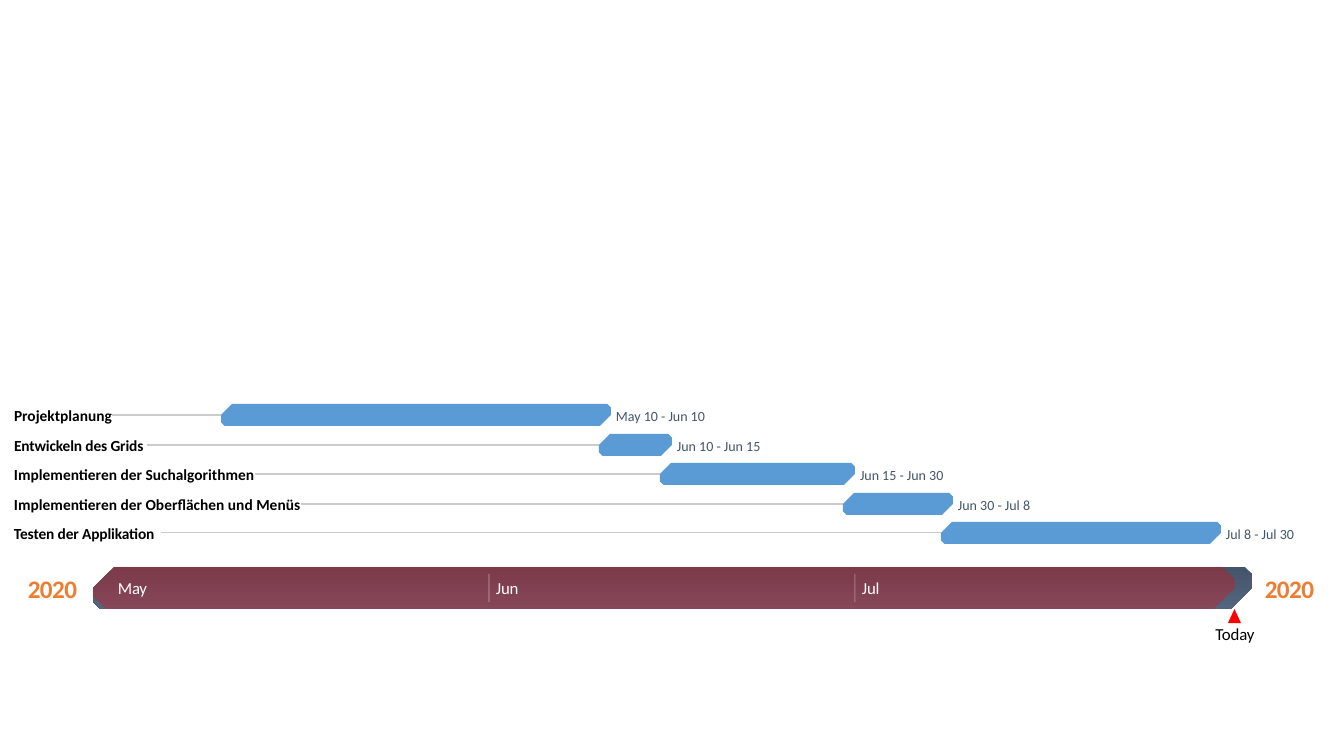
from pptx import Presentation
from pptx.dml.color import RGBColor
from pptx.enum.shapes import MSO_CONNECTOR, MSO_SHAPE
from pptx.enum.text import MSO_ANCHOR, PP_ALIGN
from pptx.oxml.ns import qn
from pptx.util import Emu, Pt
from lxml.etree import SubElement

SLATE = RGBColor(0x44, 0x54, 0x6A)
SLATE_LIGHT = RGBColor(0x52, 0x66, 0x7F)
ORANGE = RGBColor(0xED, 0x7D, 0x31)
BLUE = RGBColor(0x5B, 0x9B, 0xD5)
RED = RGBColor(0xFF, 0x00, 0x00)
GREY = RGBColor(0xCC, 0xCC, 0xCC)
WHITE = RGBColor(0xFF, 0xFF, 0xFF)
BLACK = RGBColor(0x00, 0x00, 0x00)


def px(n):
    return Emu(round(n * 914400 / 100.8))


class Gantt:
    font = "Calibri"

    def __init__(self, slide):
        self.s = slide

    def set_alpha(self, element, percent):
        color = next(element.iter(qn("a:srgbClr")))
        SubElement(color, qn("a:alpha")).set("val", str(percent * 1000))

    def text(self, x, y, w, h, text, size, color, bold=False, align=PP_ALIGN.LEFT, spacing=0):
        tf = self.s.shapes.add_textbox(px(x), px(y), px(w), px(h)).text_frame
        tf.margin_left = tf.margin_right = tf.margin_top = tf.margin_bottom = 0
        tf.vertical_anchor = MSO_ANCHOR.MIDDLE
        tf.word_wrap = True
        p = tf.paragraphs[0]
        p.alignment = align
        r = p.add_run()
        r.text = text
        p.font.name, p.font.size, p.font.bold = self.font, Pt(size), bold
        p.font.color.rgb = color
        if spacing:
            r._r.get_or_add_rPr().set("spc", str(round(spacing * 100)))

    def line(self, x1, y1, x2, y2, color, alpha=None):
        c = self.s.shapes.add_connector(MSO_CONNECTOR.STRAIGHT, px(x1), px(y1), px(x2), px(y2))
        c.line.color.rgb = color
        c.line.width = Pt(0.75)
        spPr = c._element.spPr
        if alpha:
            self.set_alpha(spPr, alpha)
        SubElement(spPr, qn("a:effectLst"))

    def shape(self, kind, x, y, w, h, color, color_to=None, alpha=None, adjust=()):
        sp = self.s.shapes.add_shape(kind, px(x), px(y), px(w), px(h))
        sp.shadow.inherit = False
        sp.line.fill.background()
        for i, value in enumerate(adjust):
            sp.adjustments[i] = value
        if color_to:
            sp.fill.gradient()
            sp.fill.gradient_angle = 270
            for stop, rgb in zip(sp.fill.gradient_stops, (color, color_to)):
                stop.color.rgb = rgb
        else:
            sp.fill.solid()
            sp.fill.fore_color.rgb = color
        if alpha:
            self.set_alpha(sp._element.spPr, alpha)

    def bar(self, x, y, w, h, color, snip=0.167, **fill):
        self.shape(MSO_SHAPE.SNIP_2_DIAG_RECTANGLE, x, y, w, h, color, adjust=(0.5, snip), **fill)


MONTH_START = {"May": 0, "Jun": 31, "Jul": 61}
DAY_W = 12.2
MAY_X = 111


def day_x(date, after=0):
    month, day = date.split()
    return round(MAY_X + DAY_W * (MONTH_START[month] + int(day) - 1 + after))


TASKS = [
    ("Projektplanung", 98, "May 10", "Jun 10", 0),
    ("Entwickeln des Grids", 133, "Jun 10", "Jun 15", -0.1),
    ("Implementieren der Suchalgorithmen", 241, "Jun 15", "Jun 30", 0),
    ("Implementieren der Oberflächen und Menüs", 287, "Jun 30", "Jul 8", 0),
    ("Testen der Applikation", 147, "Jul 8", "Jul 30", -0.1),
]
LABEL_X, LABEL_SLACK = 14, 8
ROW_Y, ROW_STEP, BAR_H = 404.5, 29.4, 22
BAND_X, BAND_Y, BAND_H = 93, 567, 42

prs = Presentation()
prs.slide_width, prs.slide_height = px(1344), px(756)
g = Gantt(prs.slides.add_slide(prs.slide_layouts[6]))

for year_x in (24, 1261):
    g.text(year_x, 573, 57, 31, "2020", 18, ORANGE, True, PP_ALIGN.CENTER, -0.4)

g.bar(BAND_X, BAND_Y, 1159, BAND_H, SLATE, color_to=SLATE_LIGHT)
g.bar(BAND_X, BAND_Y, 1142, BAND_H, RED, snip=0.3, alpha=30)
g.shape(MSO_SHAPE.ISOSCELES_TRIANGLE, 1228, 609, 13, 14, RED)
g.text(1211, 624, 48, 20, "Today", 12, BLACK, align=PP_ALIGN.CENTER, spacing=-0.1)

for month, start in MONTH_START.items():
    x = day_x(f"{month} 1")
    g.text(x + 7, 578, 36, 20, month, 12, WHITE, spacing=-0.2)
    if start:
        g.line(x, 574, x, 602, WHITE, alpha=30)

for i, (name, label_w, start, end, spacing) in enumerate(TASKS):
    y = round(ROW_Y + i * ROW_STEP)
    left, right = day_x(start), day_x(end, after=1)
    g.line(LABEL_X + label_w, y + 11, left, y + 11, GREY)
    g.bar(left, y, right - left, BAR_H, BLUE)
    g.text(right + 5, y + 3, 98, 17, f"{start} - {end}", 10, SLATE)
    g.text(LABEL_X, y + 2, label_w + LABEL_SLACK, 19, name, 11, BLACK, True, spacing=spacing)

prs.save("out.pptx")
